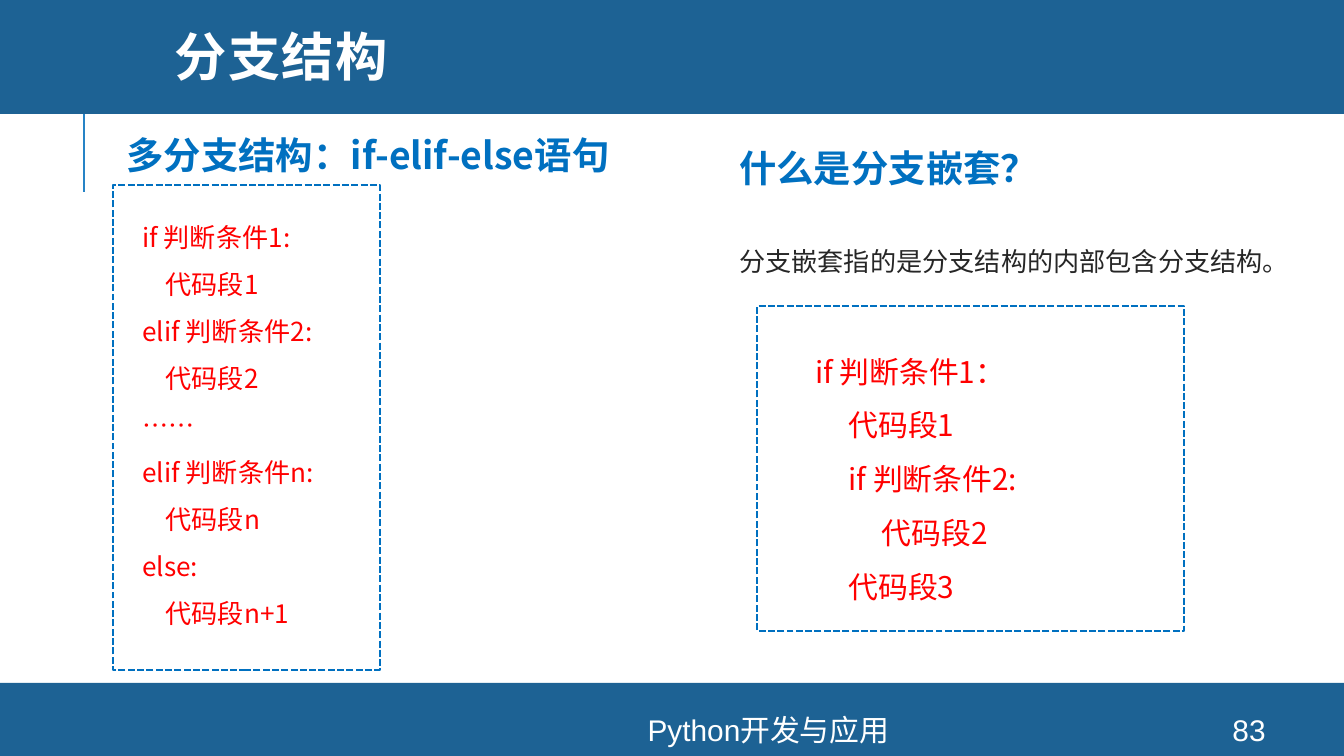
import pptx
import pptx.dml.color
import pptx.enum.dml
import pptx.enum.shapes
import pptx.enum.text
import pptx.oxml
import pptx.oxml.ns
import pptx.util

RGBColor = pptx.dml.color.RGBColor
Align = pptx.enum.text.PP_ALIGN
Anchor = pptx.enum.text.MSO_ANCHOR
AutoSize = pptx.enum.text.MSO_AUTO_SIZE

BAR_BLUE = RGBColor(0x1D, 0x62, 0x94)
RULE_BLUE = RGBColor(0x26, 0x83, 0xC6)
ACCENT_BLUE = RGBColor(0x00, 0x70, 0xC0)
CODE_RED = RGBColor(0xFF, 0x00, 0x00)
BODY_GREY = RGBColor(0x26, 0x26, 0x26)
WHITE = RGBColor(0xFF, 0xFF, 0xFF)

EMU_PER_PX = 914400 / 134.4
SLIDE_WIDTH, SLIDE_HEIGHT = 1344, 756
CJK_FONT = "Noto Sans CJK SC"

TITLE = dict(name="Montserrat", size=28, color=WHITE, bold=True)
HEADING = dict(name=CJK_FONT, size=20, color=ACCENT_BLUE, bold=True)
BODY = dict(name=CJK_FONT, size=14, color=BODY_GREY)
SYNTAX = dict(name=CJK_FONT, size=14, color=CODE_RED)
NESTED_SYNTAX = dict(SYNTAX, size=16)
FOOTER = dict(name="Arial", size=16, color=WHITE)

BRANCH_CODE = """if 判断条件1:
    代码段1
elif 判断条件2:
    代码段2
……
elif 判断条件n:
    代码段n
else:
    代码段n+1"""

NESTED_CODE = """if 判断条件1：
     代码段1
     if 判断条件2:
          代码段2
     代码段3"""


def px(*lengths):
    return [pptx.util.Emu(round(length * EMU_PER_PX)) for length in lengths]


class SlideBuilder:
    def __init__(self, slide):
        self.slide = slide
        self.shapes = slide.shapes

    def format_run(self, run, style):
        for key, value in style.items():
            if key == "color":
                run.font.color.rgb = value
            else:
                setattr(run.font, key, pptx.util.Pt(value) if key == "size" else value)
        east_asian = pptx.oxml.parse_xml(
            f'<a:ea {pptx.oxml.ns.nsdecls("a")} typeface="{style["name"]}"/>')
        run.font._element.find(pptx.oxml.ns.qn("a:latin")).addnext(east_asian)

    def fill_frame(self, frame, content, style, frame_format, paragraph_format):
        for key, value in dict(word_wrap=True, **frame_format).items():
            setattr(frame, key, value)
        for index, line in enumerate(content.split("\n")):
            paragraph = frame.add_paragraph() if index else frame.paragraphs[0]
            for key, value in paragraph_format.items():
                setattr(paragraph, key, value)
            run = paragraph.add_run()
            run.text = line
            self.format_run(run, style)

    def title(self, content, *box):
        heading = self.shapes.title
        for key, value in zip(("left", "top", "width", "height"), px(*box)):
            setattr(heading, key, value)
        self.fill_frame(heading.text_frame, content, TITLE,
                        dict(vertical_anchor=Anchor.MIDDLE, auto_size=AutoSize.NONE),
                        dict(alignment=Align.LEFT, line_spacing=0.8))
        heading.text_frame.paragraphs[0].runs[0].font._element.set("spc", "80")
        self.shapes._spTree.append(heading._element)

    def text(self, content, style, *box):
        self.fill_frame(self.shapes.add_textbox(*px(*box)).text_frame, content, style,
                        dict(auto_size=AutoSize.SHAPE_TO_FIT_TEXT),
                        dict(line_spacing=1.5))

    def footer(self, content, *box):
        self.fill_frame(self.shapes.add_textbox(*px(*box)).text_frame, content, FOOTER,
                        dict(vertical_anchor=Anchor.MIDDLE),
                        dict(alignment=Align.CENTER))

    def rectangle(self, *box):
        shape = self.shapes.add_shape(pptx.enum.shapes.MSO_SHAPE.RECTANGLE, *px(*box))
        shape.shadow.inherit = False
        return shape

    def bar(self, *box):
        band = self.rectangle(*box)
        band.fill.solid()
        band.fill.fore_color.rgb = BAR_BLUE
        band.line.fill.background()

    def dashed_box(self, *box):
        border = self.rectangle(*box)
        border.fill.background()
        border.line.color.rgb = ACCENT_BLUE
        border.line.width = pptx.util.Pt(1.25)
        border.line.dash_style = pptx.enum.dml.MSO_LINE.SQUARE_DOT

    def rule(self, *ends):
        line = self.shapes.add_connector(
            pptx.enum.shapes.MSO_CONNECTOR.STRAIGHT, *px(*ends))
        line.line.color.rgb = RULE_BLUE
        line.line.width = pptx.util.Pt(1.5)
        line._element.spPr.append(pptx.oxml.parse_xml(
            f'<a:effectLst {pptx.oxml.ns.nsdecls("a")}/>'))


def main():
    deck = pptx.Presentation()
    deck.slide_width, deck.slide_height = px(SLIDE_WIDTH, SLIDE_HEIGHT)
    page = SlideBuilder(deck.slides.add_slide(deck.slide_layouts[5]))

    page.rule(84, 192, 84, 91)
    page.bar(0, 683, SLIDE_WIDTH, 73)
    page.bar(0, -4, SLIDE_WIDTH, 118)
    page.title("分支结构", 161, 0, 1141, 122)
    page.footer("Python开发与应用", 351, 714, 835, 31)
    page.footer("83", 1195, 714, 108, 31)

    page.text("多分支结构：if-elif-else语句", HEADING, 113, 103, 598, 81)
    page.dashed_box(113, 185, 267, 485)
    page.text(BRANCH_CODE, SYNTAX, 129, 199, 231, 441)

    page.text("什么是分支嵌套？", HEADING, 726, 116, 581, 74)
    page.text(NESTED_CODE, NESTED_SYNTAX, 802, 329, 339, 278)
    page.dashed_box(757, 306, 427, 325)
    page.text("分支嵌套指的是分支结构的内部包含分支结构。", BODY, 726, 223, 558, 55)

    deck.save("out.pptx")


if __name__ == "__main__":
    main()
